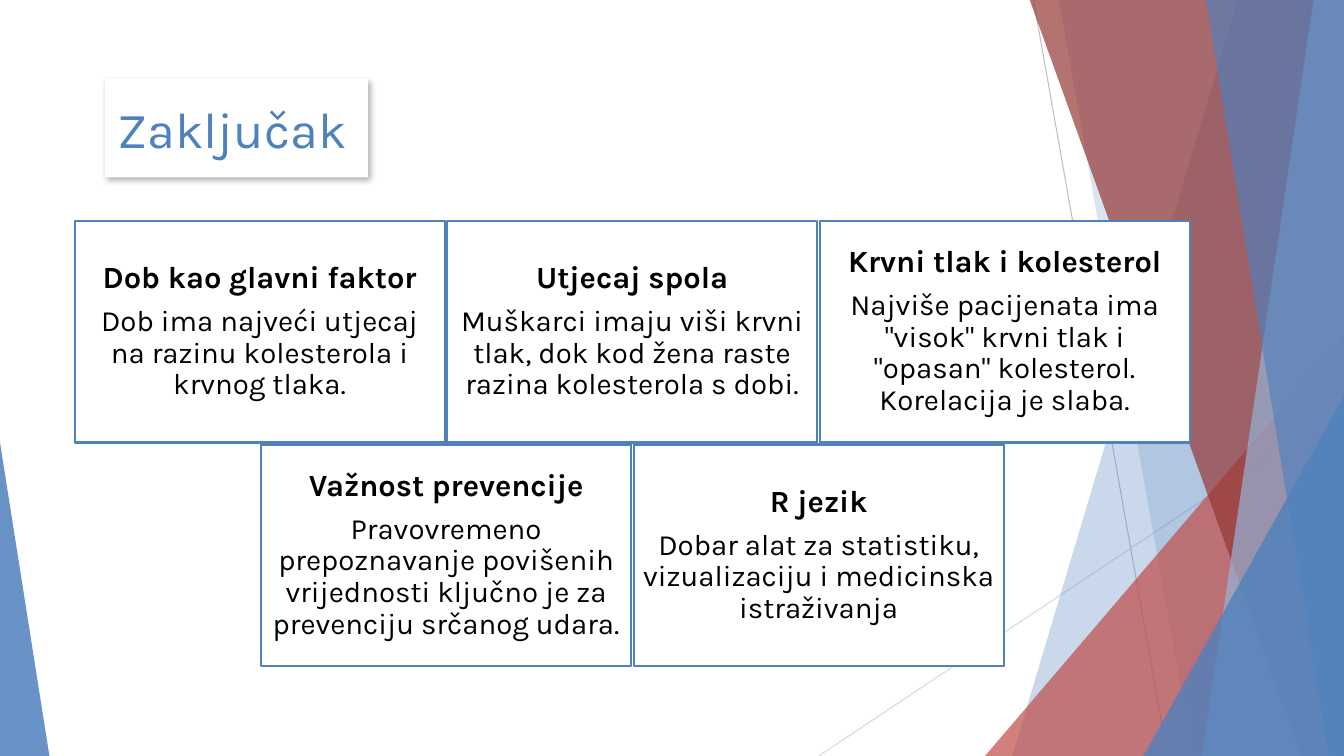
from lxml.etree import SubElement
from pptx import Presentation
from pptx.dml.color import RGBColor
from pptx.enum.shapes import MSO_CONNECTOR, MSO_SHAPE
from pptx.enum.text import MSO_ANCHOR, PP_ALIGN
from pptx.oxml.ns import qn
from pptx.util import Inches, Pt

FONT = "Karla"
COLORS = {
    "blue": "4F81BD", "light_blue": "95B3D7", "red": "C0504D",
    "dark_red": "953735", "white": "FFFFFF", "black": "000000",
    "gray": "BFBFBF", "light_gray": "D9D9D9",
}
BOTTOM, RIGHT = 7.5, 13.33
CARD_WIDTH, CARD_HEIGHT, CARD_GAP = 3.67, 2.2, 0.025

# Each row: left, top, cards
CARD_ROWS = [
    (0.74, 2.19, [
        ("Dob kao glavni faktor",
         "Dob ima najveći utjecaj na razinu kolesterola i krvnog tlaka."),
        ("Utjecaj spola",
         "Muškarci imaju viši krvni tlak, dok kod žena raste razina kolesterola s dobi."),
        ("Krvni tlak i kolesterol",
         'Najviše pacijenata ima "visok" krvni tlak i "opasan" kolesterol. Korelacija je slaba.'),
    ]),
    (2.59, 4.41, [
        ("Važnost prevencije",
         "Pravovremeno prepoznavanje povišenih vrijednosti ključno je za prevenciju srčanog udara."),
        ("R jezik",
         "Dobar alat za statistiku, vizualizaciju i medicinska istraživanja"),
    ]),
]


def rgb(name):
    return RGBColor.from_string(COLORS[name])


def paint(shape, color, opacity=100):
    shape.shadow.inherit = False
    shape.fill.solid()
    shape.fill.fore_color.rgb = rgb(color)
    shape.line.fill.background()
    if opacity < 100:
        color_node = shape.fill._xPr.find(qn("a:solidFill"))[0]
        SubElement(color_node, qn("a:alpha"), val=str(opacity * 1000))


def add_thin_line(page, start, end, color):
    line = page.shapes.add_connector(
        MSO_CONNECTOR.STRAIGHT, *(Inches(value) for value in start + end))
    line.line.color.rgb = rgb(color)
    line.line.width = Pt(0.75)
    SubElement(line._element.spPr, qn("a:effectLst"))


def add_band(page, top_left, bottom_left, color, opacity):
    """Band that reaches from a slanted left edge to the right slide edge."""
    points = [(top_left, -0.01), (RIGHT, -0.01), (RIGHT, BOTTOM), (bottom_left, BOTTOM)]
    corners = [(Inches(x), Inches(y)) for x, y in points]
    builder = page.shapes.build_freeform(*corners[0])
    builder.add_line_segments(corners[1:], close=True)
    paint(builder.convert_to_shape(), color, opacity)


def add_corner(page, left, top, width, apex, color, opacity):
    """Triangle that stands on the bottom slide edge."""
    corner = page.shapes.add_shape(
        MSO_SHAPE.ISOSCELES_TRIANGLE, Inches(left), Inches(top),
        Inches(width), Inches(BOTTOM - top))
    corner.adjustments[0] = apex
    paint(corner, color, opacity)


def add_box(page, left, top, width, height, inset):
    box = page.shapes.add_shape(
        MSO_SHAPE.RECTANGLE, Inches(left), Inches(top), Inches(width), Inches(height))
    paint(box, "white")
    frame = box.text_frame
    frame.word_wrap = True
    frame.vertical_anchor = MSO_ANCHOR.MIDDLE
    frame.margin_left = frame.margin_right = Inches(inset)
    frame.margin_top = frame.margin_bottom = Inches(inset)
    return box


def add_span(para, text, size, color, bold=False):
    span = para.add_run()
    span.text = text
    span.font.name = FONT
    span.font.size = Pt(size)
    span.font.bold = bold
    span.font.color.rgb = rgb(color)


def add_card(page, left, top, heading, body):
    box = add_box(page, left, top, CARD_WIDTH, CARD_HEIGHT, 0.09)
    box.line.color.rgb = rgb("blue")
    box.line.width = Pt(1.5)
    frame = box.text_frame
    paras = [frame.paragraphs[0], frame.add_paragraph()]
    for para, text, size, bold in zip(paras, (heading, body), (22, 21), (True, False)):
        para.alignment = PP_ALIGN.CENTER
        para.line_spacing = 0.9
        para.space_after = Pt(7.5)
        add_span(para, text, size, "black", bold)


def add_title(page, text):
    box = add_box(page, 1.04, 0.78, 2.61, 0.98, 0.13)
    effects = box._element.spPr.find(qn("a:effectLst"))
    shadow = SubElement(
        effects, qn("a:outerShdw"), blurRad=str(Pt(4.5)), dist=str(Pt(2.6)),
        dir=str(53 * 60000), algn="tl", rotWithShape="0")
    shade = SubElement(shadow, qn("a:srgbClr"), val=COLORS["black"])
    SubElement(shade, qn("a:alpha"), val="30000")
    para = box.text_frame.paragraphs[0]
    para.alignment = PP_ALIGN.LEFT
    add_span(para, text, 36, "blue")


def add_backdrop(page):
    add_thin_line(page, (10.25, 0), (11.58, BOTTOM), "gray")
    add_thin_line(page, (RIGHT, 4.03), (8.12, BOTTOM), "light_gray")
    add_band(page, 12.28, 10.04, "blue", 30)
    add_band(page, 10.5, 11.83, "blue", 20)
    add_corner(page, 9.77, 3.33, 3.56, 1, "red", 72)
    add_band(page, 10.21, 12.91, "dark_red", 70)
    add_band(page, 13.03, 11.92, "light_blue", 70)
    add_band(page, 11.96, 13.18, "blue", 65)
    add_corner(page, 11.34, 3.93, 1.99, 1, "blue", 80)
    add_corner(page, 0, 4.39, 0.49, 0, "blue", 85)


def main():
    deck = Presentation()
    deck.slide_width, deck.slide_height = Inches(13.33), Inches(7.5)
    page = deck.slides.add_slide(deck.slide_layouts[6])

    # Slanted bands at the slide edges
    add_backdrop(page)

    # Conclusion cards
    for left, top, cards in CARD_ROWS:
        for column, (heading, body) in enumerate(cards):
            add_card(page, left + column * (CARD_WIDTH + CARD_GAP), top, heading, body)

    # Title
    add_title(page, "Zaključak")
    deck.save("out.pptx")


if __name__ == "__main__":
    main()
